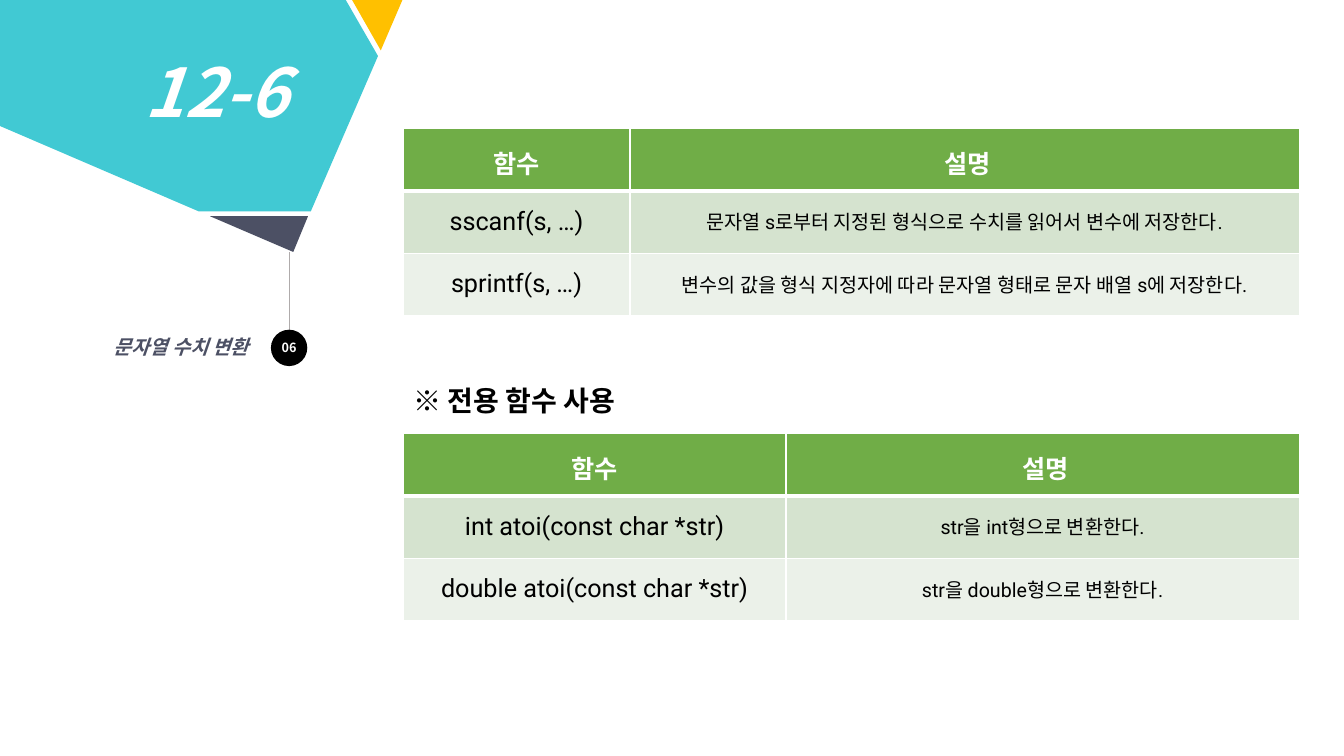
from dataclasses import dataclass

from lxml import etree
from pptx import Presentation
from pptx import util as u
from pptx.dml.color import RGBColor
from pptx.enum import shapes, text
from pptx.oxml import ns

Pt = u.Pt
ALIGN = text.PP_ALIGN


@dataclass(frozen=True)
class Theme:
    teal: str = "41C9D3"
    yellow: str = "FFC000"
    slate: str = "4C5064"
    grey: str = "AFABAB"
    green: str = "70AD47"
    bands: tuple = ("D5E3CF", "EBF1E9")
    black: str = "000000"
    white: str = "FFFFFF"
    korean: str = "Noto Sans CJK KR"
    latin: str = "Roboto"
    number: int = 48
    heading: int = 20
    function: int = 18
    body: int = 14
    badge: int = 9


THEME = Theme()


def paint(item, colour):
    item.fill.solid()
    item.fill.fore_color.rgb = RGBColor.from_string(colour)


def write(frame, words, size, colour, align=ALIGN.LEFT, bold=True, italic=False, face=THEME.korean):
    frame.text = words
    para = frame.paragraphs[0]
    para.alignment = align
    span = para.runs[0]
    font = span.font
    font.size, font.bold, font.italic = Pt(size), bold, italic
    font.color.rgb = RGBColor.from_string(colour)
    font.name = face
    east_asian = etree.SubElement(span.font._element, ns.qn("a:ea"))
    east_asian.set("typeface", THEME.korean)


def set_frame(frame, wrap=True):
    frame.word_wrap = wrap
    frame.auto_size = text.MSO_AUTO_SIZE.NONE
    frame.vertical_anchor = text.MSO_ANCHOR.MIDDLE


def add_label(page, place, words, size, colour, wrap=True, **style):
    box = page.shapes.add_textbox(*map(Pt, place))
    set_frame(box.text_frame, wrap)
    write(box.text_frame, words, size, colour, **style)


def add_polygon(page, points, colour):
    corners = [(Pt(x), Pt(y)) for x, y in points]
    builder = page.shapes.build_freeform(*corners[0], scale=1.0)
    builder.add_line_segments(corners[1:], close=True)
    polygon = builder.convert_to_shape()
    polygon.shadow.inherit = False
    paint(polygon, colour)
    polygon.line.fill.background()


def add_stem(page, x, top, bottom):
    stem = page.shapes.add_connector(
        shapes.MSO_CONNECTOR.STRAIGHT, Pt(x), Pt(top), Pt(x), Pt(bottom))
    stem.line.color.rgb = RGBColor.from_string(THEME.grey)
    stem.line.width = Pt(0.5)
    etree.SubElement(stem.element.spPr, ns.qn("a:effectLst"))


def add_badge(page, left, top, size, words):
    badge = page.shapes.add_shape(
        shapes.MSO_SHAPE.OVAL, Pt(left), Pt(top), Pt(size), Pt(size))
    badge.shadow.inherit = False
    paint(badge, THEME.black)
    badge.line.fill.background()
    frame = badge.text_frame
    set_frame(frame)
    frame.margin_left = frame.margin_right = frame.margin_top = frame.margin_bottom = 0
    write(frame, words, THEME.badge, THEME.white, align=ALIGN.CENTER)


def set_title(page, place, words):
    """Move the title placeholder in front of the shapes drawn so far."""
    title = page.shapes.title
    title.element.getparent().append(title.element)
    title.left, title.top, title.width, title.height = map(Pt, place)
    set_frame(title.text_frame, wrap=False)
    write(title.text_frame, words, THEME.number, THEME.white, italic=True)


def set_borders(cell, top, bottom):
    properties = cell._tc.get_or_add_tcPr()
    for index, (side, width) in enumerate(zip("LRTB", (1, 1, top, bottom))):
        line = etree.Element(ns.qn(f"a:ln{side}"), w=str(Pt(width)))
        fill = etree.SubElement(line, ns.qn("a:solidFill"))
        etree.SubElement(fill, ns.qn("a:srgbClr"), val=THEME.white)
        properties.insert(index, line)


def add_function_table(page, left, top, widths, row_height, entries):
    rows = [("함수", " 설명"), *entries]
    table = page.shapes.add_table(
        len(rows), len(widths), Pt(left), Pt(top),
        Pt(sum(widths)), Pt(row_height * len(rows))).table
    for column, width in zip(table.columns, widths):
        column.width = Pt(width)
    for r, row in enumerate(rows):
        table.rows[r].height = Pt(row_height)
        header = r == 0
        for c, words in enumerate(row):
            cell = table.cell(r, c)
            cell.margin_left = cell.margin_right = Pt(7.2)
            cell.margin_top, cell.margin_bottom = Pt(11.5), Pt(3.6)
            paint(cell, THEME.green if header else THEME.bands[(r - 1) % 2])
            set_borders(cell, top=3 if r == 1 else 1, bottom=3 if header else 1)
            write(cell.text_frame, words,
                  THEME.function if header or c == 0 else THEME.body,
                  THEME.white if header else THEME.black,
                  align=ALIGN.CENTER, bold=header, face=THEME.latin)


def main():
    deck = Presentation()
    deck.slide_width, deck.slide_height = Pt(960), Pt(540)
    page = deck.slides.add_slide(deck.slide_layouts.get_by_name("Title Only"))

    add_stem(page, 206.5, 180, 261.5)
    add_polygon(page, [(251.5, 0), (288.5, 0), (287.5, 0), (272, 36)], THEME.yellow)
    add_polygon(page, [(0, 0), (247, 0), (270, 40), (222, 151), (142, 151), (0, 90)], THEME.teal)
    add_polygon(page, [(150, 154.5), (220, 154.5), (209.5, 180)], THEME.slate)
    add_badge(page, 193.5, 235.5, 26, "06")
    add_label(page, (11.5, 235.5, 173.5, 24.5), "문자열 수치 변환",
              THEME.body, THEME.slate, align=ALIGN.RIGHT, italic=True)
    set_title(page, (96, 32, 119, 65.5), "12-6")

    add_function_table(page, 288, 91.5, (162, 478), 44.7, [
        ("sscanf(s, …)", "문자열 s로부터 지정된 형식으로 수치를 읽어서 변수에 저장한다."),
        ("sprintf(s, …)", "변수의 값을 형식 지정자에 따라 문자열 형태로 문자 배열 s에 저장한다."),
    ])
    add_label(page, (288, 270, 173, 31.5), "※ 전용 함수 사용",
              THEME.heading, THEME.black, wrap=False)
    add_function_table(page, 288, 309.5, (273.5, 366.5), 44.7, [
        ("int atoi(const char *str)", "str을 int형으로 변환한다."),
        ("double atoi(const char *str)", "str을 double형으로 변환한다."),
    ])
    deck.save("out.pptx")


if __name__ == "__main__":
    main()
